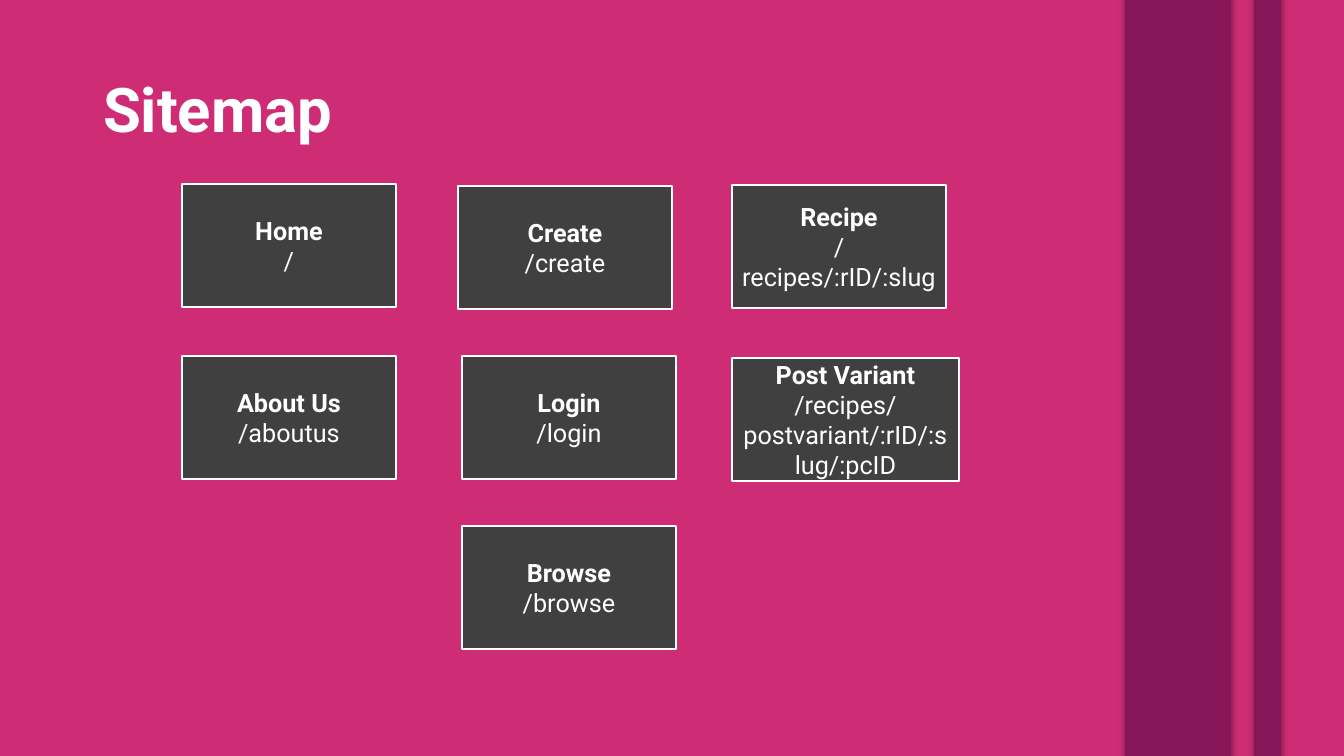
"""Build the sitemap slide: a title, two decorative bands and a card for each page."""
from dataclasses import dataclass

from lxml.etree import SubElement
from pptx import Presentation
from pptx.dml.color import RGBColor
from pptx.enum.shapes import MSO_SHAPE as Preset
from pptx.enum.text import MSO_ANCHOR as Anchor, MSO_AUTO_SIZE as AutoSize, PP_ALIGN as Align
from pptx.oxml.ns import qn
from pptx.util import Emu, Pt

PX_PER_INCH = 100.8
SLIDE_WIDTH, SLIDE_HEIGHT = 1344, 756
BLEED = 12
CARD_HEIGHT = 123
FONT = "Roboto"
COLORS = {
    "background": "CE2D75",
    "band": "861657",
    "card": "404040",
    "white": "FFFFFF",
    "shadow": "000000",
}


@dataclass(frozen=True)
class Band:
    left: int
    width: int


@dataclass(frozen=True)
class Card:
    name: str
    route: str
    left: int
    top: int
    width: int = 214


BANDS = [Band(1125, 106), Band(1254, 27)]
CARDS = [
    Card("Home", "/", 182, 184),
    Card("Create", "/create", 458, 186),
    Card("About Us", "/aboutus", 182, 356),
    Card("Login", "/login", 462, 356),
    Card("Recipe", "/recipes/:rID/:slug", 732, 185),
    Card("Post Variant", "/recipes/postvariant/:rID/:slug/:pcID", 732, 358, 227),
    Card("Browse", "/browse", 462, 526),
]


def px(length: int) -> Emu:
    return Emu(round(length * 914400 / PX_PER_INCH))


def color(name: str) -> RGBColor:
    return RGBColor.from_string(COLORS[name])


def write_text(paragraph, text: str, *, size: int = 18, bold: bool = False,
               align: Align = Align.CENTER, spacing: float = 1.0) -> None:
    paragraph.alignment = align
    paragraph.line_spacing = spacing
    run = paragraph.add_run()
    run.text = text
    run.font.name = FONT
    run.font.size = Pt(size)
    run.font.bold = bold
    run.font.color.rgb = color("white")


def add_rectangle(slide, left: int, top: int, width: int, height: int, fill: str):
    shape = slide.shapes.add_shape(Preset.RECTANGLE, px(left), px(top), px(width), px(height))
    shape.shadow.inherit = False
    shape.fill.solid()
    shape.fill.fore_color.rgb = color(fill)
    return shape


def add_glow_shadow(shape) -> None:
    effects = shape._element.spPr.find(qn("a:effectLst"))
    shadow = SubElement(effects, qn("a:outerShdw"), blurRad=str(Pt(5)), dist="0", dir="0")
    shade = SubElement(shadow, qn("a:srgbClr"), val=COLORS["shadow"])
    SubElement(shade, qn("a:alpha"), val="40000")


def add_title(slide, text: str) -> None:
    title = slide.shapes.title
    title.left, title.top, title.width, title.height = px(93), px(40), px(1159), px(146)
    frame = title.text_frame
    frame.auto_size = AutoSize.NONE
    frame.vertical_anchor = Anchor.MIDDLE
    write_text(frame.paragraphs[0], text, size=44, bold=True, align=Align.LEFT, spacing=0.9)


def add_band(slide, band: Band) -> None:
    shape = add_rectangle(slide, band.left, -BLEED, band.width, SLIDE_HEIGHT + 2 * BLEED, "band")
    shape.line.fill.background()
    add_glow_shadow(shape)


def add_card(slide, card: Card) -> None:
    shape = add_rectangle(slide, card.left, card.top, card.width, CARD_HEIGHT, "card")
    shape.line.color.rgb = color("white")
    shape.line.width = Pt(1)
    frame = shape.text_frame
    frame.word_wrap = True
    frame.vertical_anchor = Anchor.MIDDLE
    write_text(frame.paragraphs[0], card.name, bold=True)
    write_text(frame.add_paragraph(), card.route)


def main() -> None:
    presentation = Presentation()
    presentation.slide_width, presentation.slide_height = px(SLIDE_WIDTH), px(SLIDE_HEIGHT)
    slide = presentation.slides.add_slide(presentation.slide_layouts.get_by_name("Title Only"))
    slide.background.fill.solid()
    slide.background.fill.fore_color.rgb = color("background")
    add_title(slide, "Sitemap")
    for band in BANDS:
        add_band(slide, band)
    for card in CARDS:
        add_card(slide, card)
    presentation.save("out.pptx")


if __name__ == "__main__":
    main()
